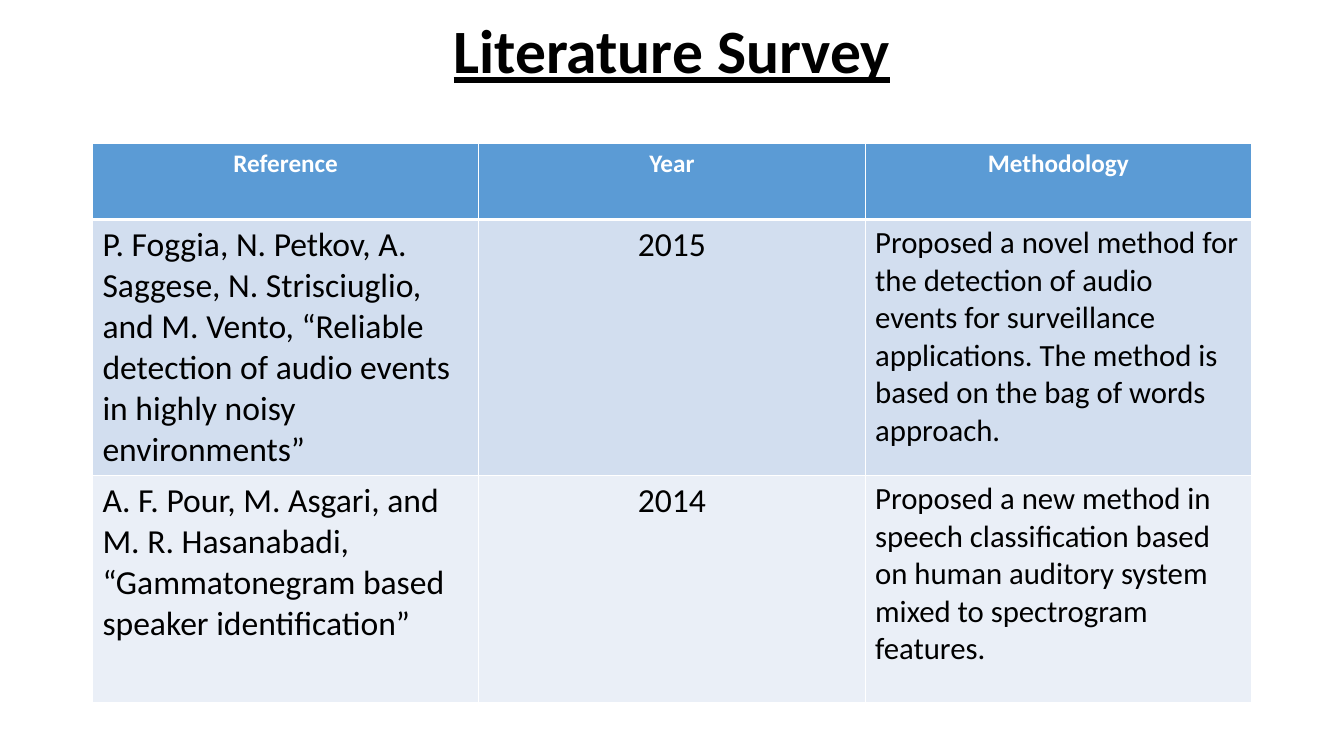
from pptx import Presentation
from pptx.dml.color import RGBColor
from pptx.enum.text import MSO_ANCHOR, PP_ALIGN as Align
from pptx.oxml import parse_xml
from pptx.oxml.ns import nsdecls
from pptx.util import Cm, Pt

BLACK = RGBColor(0x00, 0x00, 0x00)
WHITE = RGBColor(0xFF, 0xFF, 0xFF)
HEADER_BLUE = RGBColor(0x5B, 0x9B, 0xD5)
BAND_DARK = RGBColor(0xD2, 0xDE, 0xEF)
BAND_LIGHT = RGBColor(0xEA, 0xEF, 0xF7)

LEFT, WIDTH = Cm(2.33), Cm(29.21)


def write(frame, text, align, **font_format):
    paragraph = frame.paragraphs[0]
    paragraph.alignment = align
    run = paragraph.add_run()
    run.text = text
    run.font.name = "Calibri"
    run.font.color.rgb = font_format.pop("color")
    for name, value in font_format.items():
        setattr(run.font, name, value)


def add_border(cell, side, points):
    # Borders come before the fill in the cell properties
    cell._tc.get_or_add_tcPr().append(parse_xml(
        f'<a:{side} {nsdecls("a")} w="{Pt(points)}"><a:solidFill>'
        f'<a:srgbClr val="{WHITE}"/></a:solidFill></a:{side}>'))


presentation = Presentation()
presentation.slide_width = Cm(33.87)
presentation.slide_height = Cm(19.05)
slide = presentation.slides.add_slide(presentation.slide_layouts[6])

# Title
title = slide.shapes.add_textbox(LEFT, Cm(-0.48), WIDTH, Cm(3.68)).text_frame
title.word_wrap = True
title.vertical_anchor = MSO_ANCHOR.MIDDLE
write(title, "Literature Survey", Align.CENTER,
      size=Pt(44), bold=True, underline=True, color=BLACK)
title.paragraphs[0].line_spacing = 0.9

# Survey table
survey = [
    ("Reference", "Year", "Methodology"),
    ("P. Foggia, N. Petkov, A. Saggese, N. Strisciuglio, and M. Vento, "
     "“Reliable detection of audio events in highly noisy environments”",
     "2015",
     "Proposed a novel method for the detection of audio events for "
     "surveillance applications. The method is based on the bag of words "
     "approach."),
    ("A. F. Pour, M. Asgari, and M. R. Hasanabadi, "
     "“Gammatonegram based speaker identification”",
     "2014",
     "Proposed a new method in speech classification based on human auditory "
     "system mixed to spectrogram features."),
]
row_heights = [Cm(1.92), Cm(6.45), Cm(5.72)]
row_fills = [HEADER_BLUE, BAND_DARK, BAND_LIGHT]
body_aligns = [Align.LEFT, Align.CENTER, Align.LEFT]
body_sizes = [Pt(24), Pt(24), Pt(22)]

table = slide.shapes.add_table(
    len(survey), len(survey[0]), LEFT, Cm(3.61), WIDTH, sum(row_heights)).table

for row, entry in enumerate(survey):
    table.rows[row].height = row_heights[row]
    is_header = row == 0
    for column, text in enumerate(entry):
        cell = table.cell(row, column)
        top = 3 if row == 1 else 1
        bottom = 3 if is_header else 1
        for side, points in {"lnL": 1, "lnR": 1, "lnT": top, "lnB": bottom}.items():
            add_border(cell, side, points)
        cell.fill.solid()
        cell.fill.fore_color.rgb = row_fills[row]
        write(cell.text_frame, text,
              Align.CENTER if is_header else body_aligns[column],
              size=Pt(18) if is_header else body_sizes[column],
              bold=is_header, color=WHITE if is_header else BLACK)

presentation.save("out.pptx")
